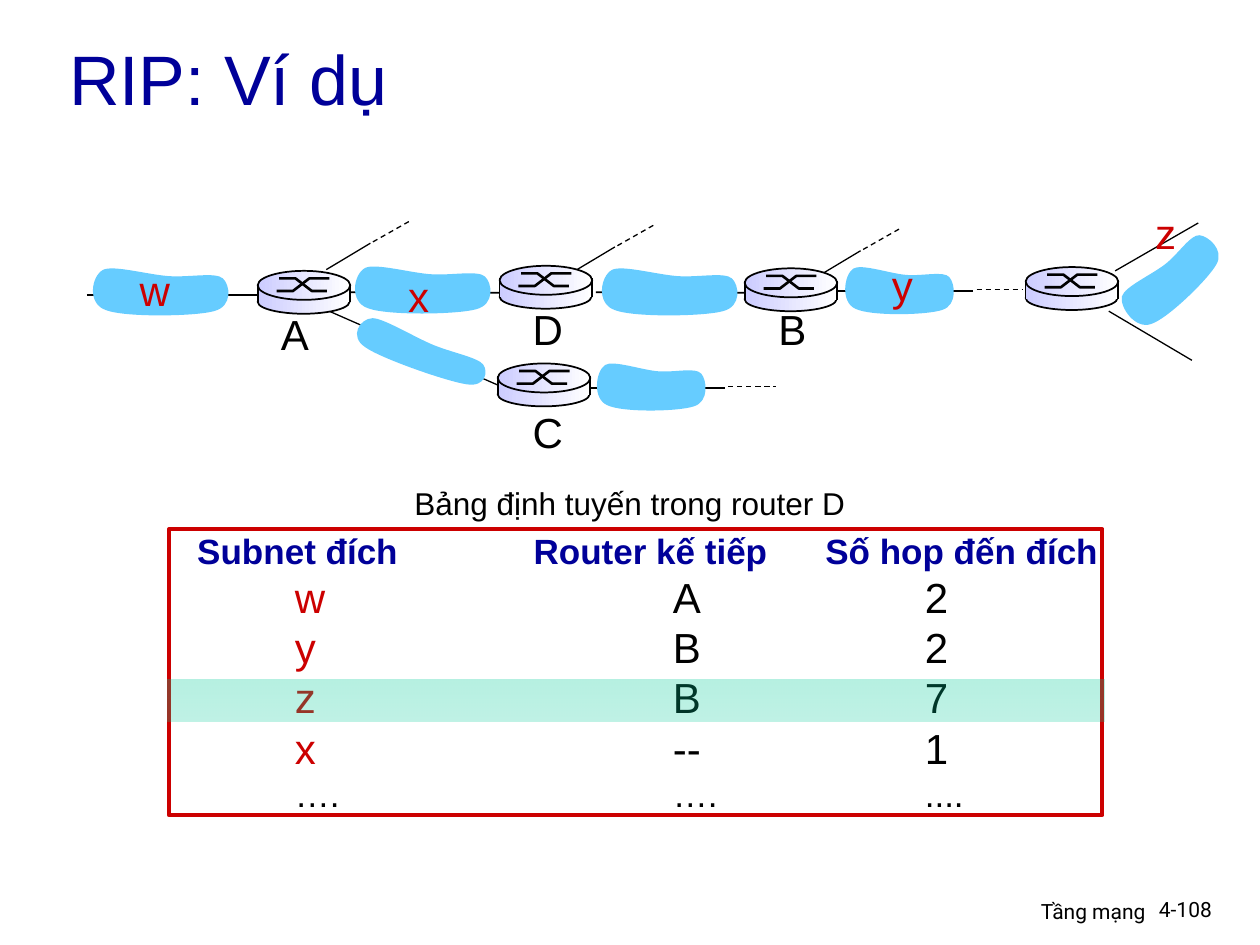
from lxml.etree import SubElement
from pptx import Presentation
from pptx.dml.color import RGBColor
from pptx.enum.dml import MSO_LINE as Dash
from pptx.enum.shapes import MSO_CONNECTOR as Link, MSO_SHAPE as Preset
from pptx.enum.text import MSO_ANCHOR as Anchor, PP_ALIGN as Align
from pptx.oxml.ns import qn
from pptx.util import Inches, Pt

BLACK, RED, NAVY, SKY = "000000", "CC0000", "000099", "66CCFF"
LILAC, WHITE, MINT = "CCCCFF", "FFFFFF", "00CC99"
color_of = RGBColor.from_string

deck = Presentation()
deck.slide_width, deck.slide_height = Inches(10), Inches(7.5)
slide = deck.slides.add_slide(deck.slide_layouts[6])
shapes = slide.shapes
cell_size = deck.slide_width / 100


def grid(*cells):
    return [int(cell_size * cell) for cell in cells]


def stroke(parent, ends, weight=0.75, dashed=False):
    link = parent.add_connector(Link.STRAIGHT, *grid(*ends))
    link.line.color.rgb = color_of(BLACK)
    link.line.width = Pt(weight)
    if dashed:
        link.line.dash_style = Dash.DASH
    SubElement(link._element.spPr, qn("a:effectLst"))


frame = shapes.add_shape(Preset.RECTANGLE, *grid(13.4, 42, 74.1, 22.7))
frame.fill.background()
frame.line.color.rgb = color_of(RED)
frame.line.width = Pt(2.25)
frame.shadow.inherit = False
routing = frame.text_frame
routing.word_wrap = True
routing.vertical_anchor = Anchor.TOP
routing.margin_left = routing.margin_right = routing.margin_top = routing.margin_bottom = 0
routes = [
    ("Subnet đích", "Router kế tiếp", "Số hop đến đích"),
    ("w", "A", "2"),
    ("y", "B", "2"),
    ("z", "B", "7"),
    ("x", "--", "1"),
    ("….", "….", "...."),
]
for r, route in enumerate(routes):
    header, ellipsis = r == 0, r == len(routes) - 1
    size = 20 if header or ellipsis else 24
    row = routing.paragraphs[0] if header else routing.add_paragraph()
    row.alignment = Align.LEFT
    row.line_spacing = Pt(size * 1.2)
    row.font.name, row.font.size, row.font.bold = "Arial", Pt(size), header
    tabs = SubElement(row._p.get_or_add_pPr(), qn("a:tabLst"))
    row._p.pPr.find(qn("a:defRPr")).addprevious(tabs)
    for stop in grid(*((2.25, 28.95, 52.1) if header else (10, 40, 60))):
        SubElement(tabs, qn("a:tab"), pos=str(stop), algn="l")
    for c, words in enumerate(route):
        entry = row.add_run()
        entry.text = "\t" + words
        value_color = RED if c == 0 and not ellipsis else BLACK
        entry.font.color.rgb = color_of(NAVY if header else value_color)

for ends in [(27.7, 23.2, 41.2, 23.25), (47.3, 23.2, 60.9, 23.25), (6.9, 23.4, 20.5, 23.4)]:
    stroke(shapes, ends, 1)
for ends in [(66.5, 23.1, 77.2, 23.1), (88.5, 21.5, 95.1, 17.7), (88, 24.7, 94.6, 28.6),
             (25.9, 24.6, 39.6, 30.6), (46.8, 30.8, 57.5, 30.8)]:
    stroke(shapes, ends)
for ends in [(77.5, 23, 81.2, 23), (57.8, 30.7, 61.6, 30.7)]:
    stroke(shapes, ends, dashed=True)
for x, y in [(25.9, 21.4), (45.3, 21.7), (64.8, 22)]:
    stroke(shapes, (x, y, x + 3.5, y - 2.1))
    stroke(shapes, (x + 3.7, y - 2.2, x + 6.7, y - 3.9), dashed=True)

cloud_outline = [
    (0.57, 0.22),
    (0.43, 0.2), (0.18, 0), (0.11, 0.1),
    (0.03, 0.22), (0, 0.74), (0.13, 0.86),
    (0.26, 1), (0.74, 0.98), (0.87, 0.88),
    (1, 0.79), (0.98, 0.38), (0.93, 0.26),
    (0.88, 0.14), (0.71, 0.24), (0.57, 0.22),
]
for x, y, width, height, turn in [
    (27.7, 20.85, 11.6, 4.2, 0), (27.6, 26.4, 11.6, 3.1, 19.7), (6.9, 21, 11.6, 4.2, 0),
    (47.3, 21, 11.6, 4.2, 0), (66.7, 20.9, 9.3, 4.2, 0), (88.15, 20.1, 9.5, 4.2, 316.8),
    (47, 28.55, 9.3, 4.2, 0),
]:
    points = [grid(x + width * px, y + height * py) for px, py in cloud_outline]
    pen = shapes.build_freeform(*points[0])
    pen.add_line_segments(points[1:], close=True)
    subnet = pen.convert_to_shape()
    segments = list(subnet._element.iter(qn("a:lnTo")))
    for first in range(0, len(cloud_outline) - 1, 3):
        curve = SubElement(segments[first].getparent(), qn("a:cubicBezTo"))
        segments[first].addprevious(curve)
        for segment in segments[first:first + 3]:
            curve.append(segment[0])
            segment.getparent().remove(segment)
    subnet.fill.solid()
    subnet.fill.fore_color.rgb = color_of(SKY)
    subnet.line.fill.background()
    subnet.shadow.inherit = False
    subnet.rotation = turn

labels = [
    ("RIP: Ví dụ", (4.5, 2.1, 43.1, 8.1), 40, NAVY, "Arial", Align.LEFT),
    ("Bảng định tuyến trong router D", (31.9, 37.9, 36.2, 4), 18, BLACK, "Arial", Align.LEFT),
    ("Tầng mạng", (60.2, 70.8, 31.7, 3.1), 12, BLACK, "Roboto", Align.RIGHT),
    ("4-108", (91, 70.7, 7.4, 3), 12, BLACK, "Roboto", Align.LEFT),
]
for letter, x, y, width in [("w", 10.1, 20.5, 4.4), ("x", 31.4, 21, 3.6), ("y", 69.8, 20.1, 3.6),
                            ("z", 90.7, 16, 3.6), ("A", 21.3, 24, 4.2), ("C", 41.3, 31.8, 4.4),
                            ("D", 41.3, 23.6, 4.4), ("B", 60.8, 23.6, 4.2)]:
    shade = RED if letter.islower() else BLACK
    labels.append((letter, (x, y, width, 5), 24, shade, "Arial", Align.LEFT))
for words, box, size, shade, face, align in labels:
    text = shapes.add_textbox(*grid(*box)).text_frame
    text.word_wrap = size in (12, 40)
    text.vertical_anchor = Anchor.MIDDLE if size == 40 else Anchor.TOP
    text.text = words
    paragraph = text.paragraphs[0]
    paragraph.alignment = align
    paragraph.font.name, paragraph.font.size = face, Pt(size)
    paragraph.font.color.rgb = color_of(shade)

highlight = shapes.add_shape(Preset.RECTANGLE, *grid(13.3, 53.9, 74.4, 3.4))
highlight.line.fill.background()
highlight.shadow.inherit = False
highlight.fill.gradient()
highlight.fill.gradient_angle = 270
for stop in highlight.fill.gradient_stops:
    stop.color.rgb = color_of(MINT)
for tint, percent in zip(highlight._element.spPr.iter(qn("a:srgbClr")), (29, 25)):
    SubElement(tint, qn("a:alpha")).set("val", str(percent * 1000))

for x, y in [(39.65, 21.1), (59.1, 21.3), (81.4, 21.2), (39.5, 28.85), (20.45, 21.5)]:
    router = shapes.add_group_shape().shapes
    for preset, drop, width, height in [(Preset.OVAL, 1.5, 7.3, 1.9),
                                        (Preset.RECTANGLE, 1.3, 7.35, 1.2),
                                        (Preset.OVAL, 0, 7.35, 2.3)]:
        body = router.add_shape(preset, *grid(x, y + drop, width, height))
        body.shadow.inherit = False
        body.fill.gradient()
        body.fill.gradient_angle = 0
        for stop, shade in zip(body.fill.gradient_stops, (LILAC, WHITE)):
            stop.color.rgb = color_of(shade)
        if preset == Preset.OVAL:
            body.line.color.rgb = color_of(BLACK)
            body.line.width = Pt(1)
        else:
            body.line.fill.background()
    for left, first, last in [(1.5, 1.6, 0.6), (1.7, 0.6, 1.6)]:
        reach = 4.2 if left == 1.5 else 3.8
        bends = [(0, first), (1.3, first), (2.6, last), (reach, last)]
        points = [grid(x + left + dx, y + dy) for dx, dy in bends]
        pen = router.build_freeform(*points[0])
        pen.add_line_segments(points[1:], close=False)
        arm = pen.convert_to_shape()
        arm.fill.background()
        arm.line.color.rgb = color_of(BLACK)
        arm.line.width = Pt(1.5)
        arm.shadow.inherit = False
    for side in (x, x + 7.35):
        stroke(router, (side, y + 1, side, y + 2.5), 1)

deck.save("out.pptx")
